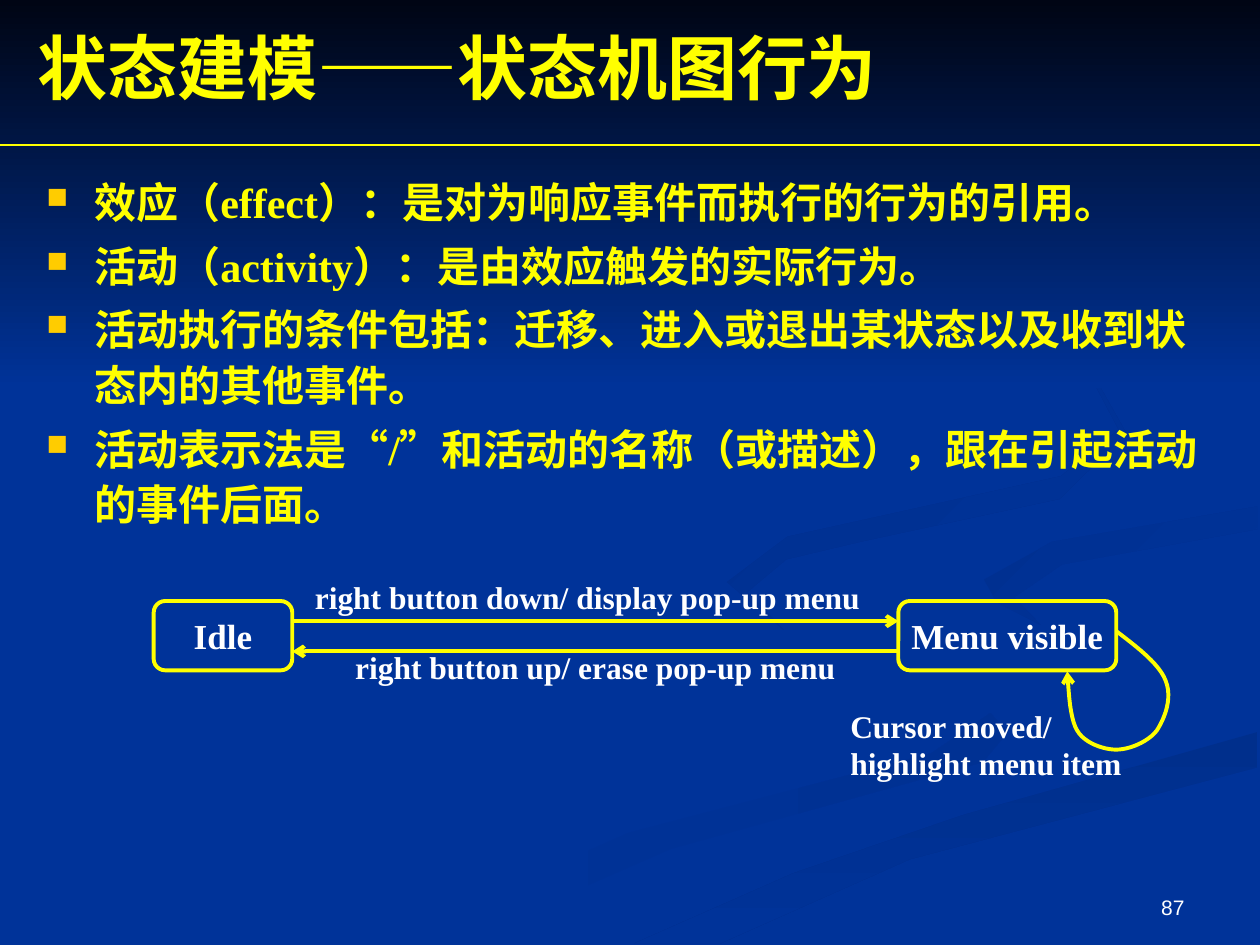
from lxml.etree import SubElement
from pptx import Presentation
from pptx.dml.color import RGBColor
from pptx.enum.shapes import MSO_CONNECTOR, MSO_SHAPE
from pptx.enum.text import MSO_ANCHOR as ANCHOR, PP_ALIGN as ALIGN
from pptx.oxml.ns import qn
from pptx.util import Inches, Pt

YELLOW, WHITE, BLUE, GOLD = "FFFF00", "FFFFFF", "003399", "FFCC00"
SERIF, SANS = "Times New Roman", "Arial"

TITLE = [("状态建模", SERIF), ("——", SANS), ("状态机图行为", SERIF)]
POINTS = [
    [("效应（effect）：是对为响应事件而执行的行为的引用。", SERIF)],
    [("活动（activity）：是由效应触发的实际行为。", SERIF)],
    [("活动执行的条件包括：迁移、进入或退出某状态以及收到状态内的其他事件。", SERIF)],
    [("活动表示法是", SERIF), ("“", SANS), ("/", SERIF), ("”", SANS),
     ("和活动的名称（或描述），跟在引起活动的事件后面。", SERIF)],
]
STATES = [("Idle", 1.22, 1.1), ("Menu visible", 7.13, 1.73)]
STATE_TOP, STATE_HEIGHT = 4.77, 0.55
IDLE_EDGE, MENU_EDGE = 2.32, 7.13
TRANSITIONS = [(IDLE_EDGE, MENU_EDGE, 4.93), (MENU_EDGE, IDLE_EDGE, 5.17)]
LABELS = [
    ("right button down/ display pop-up menu", 2.4, 4.54, 4.88, 0.4),
    ("right button up/ erase pop-up menu", 2.72, 5.09, 4.25, 0.4),
    ("Cursor moved/ highlight menu item", 6.65, 5.56, 2.6, 0.7),
]
LOOP_START = (8.86, 5.01)
LOOP_CURVES = [
    ((9.03, 5.14), (9.2, 5.27), (9.25, 5.4)),
    ((9.31, 5.54), (9.24, 5.71), (9.18, 5.8)),
    ((9.11, 5.89), (8.96, 5.95), (8.86, 5.95)),
    ((8.76, 5.95), (8.61, 5.9), (8.55, 5.8)),
    ((8.48, 5.69), (8.48, 5.4), (8.47, 5.33)),
]
RIBBONS = [
    (BLUE, "003193", 0, [
        (7.86, 5.66), (7.39, 5.98), (4.99, 6.61), (3, 7.49), (3.61, 7.49),
        (5.32, 6.74), (7.8, 6.05), (8, 5.81)]),
    ("002F8C", BLUE, 90, [
        (5.03, 7.49), (5.71, 7.49), (7.22, 6.82), (9.98, 6.09), (9.98, 5.81),
        (7.64, 6.47), (6.3, 6.93)]),
    ("003091", BLUE, 45, [
        (7.81, 4.6), (7.91, 4.78), (8.26, 4.96), (8.05, 4.74), (8.43, 4.48),
        (9.98, 4.2), (9.98, 4.02), (8.35, 4.3)]),
    ("002F8E", BLUE, 45, [
        (6.83, 4.3), (8.41, 3.96), (8.94, 3.44), (8.64, 2.91), (7.62, 2.33),
        (8.62, 2.92), (8.88, 3.41), (8.42, 3.78), (6.25, 4.26), (5.77, 4.62),
        (6.22, 5), (5.93, 4.7), (6.24, 4.44)]),
]
SKY_HEIGHT = 3.08


def color(value):
    return RGBColor.from_string(value)


def set_font(font, size, value, bold=True, name=None):
    font.size, font.bold, font.color.rgb = Pt(size), bold, color(value)
    if name:
        font.name = name


def add_runs(paragraph, parts):
    for text, font_name in parts:
        run = paragraph.add_run()
        run.text, run.font.name = text, font_name


def add_box(left, top, width, height):
    box = slide.shapes.add_textbox(*map(Inches, (left, top, width, height)))
    box.text_frame.word_wrap = True
    return box.text_frame


def add_outline(points, close):
    corners = [(Inches(x), Inches(y)) for x, y in points]
    builder = slide.shapes.build_freeform(*corners[0])
    builder.add_line_segments(corners[1:], close=close)
    outline = builder.convert_to_shape()
    outline.shadow.inherit = False
    return outline


def shade(shape, first, last, angle):
    shape.line.fill.background()
    shape.fill.gradient()
    shape.fill.gradient_angle = (360 - angle) % 360
    for stop, value in zip(shape.fill.gradient_stops, (first, last)):
        stop.color.rgb = color(value)


def style_line(line, width, arrow=False):
    line.color.rgb, line.width = color(YELLOW), Pt(width)
    if arrow:
        SubElement(line._get_or_add_ln(), qn("a:tailEnd"), type="arrow")


def add_line(start, end, y, width, arrow=False):
    line = slide.shapes.add_connector(
        MSO_CONNECTOR.STRAIGHT, *map(Inches, (start, y, end, y)))
    style_line(line.line, width, arrow)
    SubElement(line._element.spPr, qn("a:effectLst"))


def add_bullet(paragraph):
    props = paragraph._p.get_or_add_pPr()
    props.set("marL", str(Inches(0.38)))
    props.set("indent", str(-Inches(0.38)))
    SubElement(SubElement(props, qn("a:buClr")), qn("a:srgbClr"), val=GOLD)
    SubElement(props, qn("a:buSzPct"), val="70000")
    SubElement(props, qn("a:buChar"), char="■")


def curve_points(start, curves, steps=12):
    points = [start]
    for b, c, d in curves:
        a = points[-1]
        for t in (i / steps for i in range(1, steps + 1)):
            weights = ((1 - t) ** 3, 3 * t * (1 - t) ** 2, 3 * t * t * (1 - t), t ** 3)
            points.append(tuple(sum(w * p[axis] for w, p in zip(weights, (a, b, c, d)))
                                for axis in (0, 1)))
    return points


deck = Presentation()
deck.slide_width, deck.slide_height = Inches(10), Inches(7.5)
slide = deck.slides.add_slide(deck.slide_layouts[5])
slide.background.fill.solid()
slide.background.fill.fore_color.rgb = color(BLUE)

for first, last, angle, points in RIBBONS:
    shade(add_outline(points, True), first, last, angle)
sky = slide.shapes.add_shape(
    MSO_SHAPE.RECTANGLE, 0, 0, deck.slide_width, Inches(SKY_HEIGHT))
sky.shadow.inherit = False
shade(sky, "000514", BLUE, 90)

title = slide.shapes.title
slide.shapes._spTree.append(title._element)
title.left, title.top, title.width, title.height = map(Inches, (0.2, 0.14, 9, 0.77))
title.text_frame.vertical_anchor = ANCHOR.MIDDLE
heading = title.text_frame.paragraphs[0]
heading.alignment = ALIGN.LEFT
set_font(heading.font, 40, YELLOW)
add_runs(heading, TITLE)
add_line(0, 10, 1.15, 0.75)

body = add_box(0.27, 1.31, 9.37, 3.86)
for index, parts in enumerate(POINTS):
    point = body.add_paragraph() if index else body.paragraphs[0]
    point.line_spacing = 1.1
    if index:
        point.space_before = Pt(4.8)
    add_bullet(point)
    set_font(point.font, 24, YELLOW)
    add_runs(point, parts)

for text, left, width in STATES:
    state = slide.shapes.add_shape(
        MSO_SHAPE.ROUNDED_RECTANGLE, *map(Inches, (left, STATE_TOP, width, STATE_HEIGHT)))
    state.shadow.inherit = False
    state.fill.background()
    style_line(state.line, 2.25)
    state.text_frame.word_wrap = False
    state.text_frame.vertical_anchor = ANCHOR.MIDDLE
    state.text_frame.text = text
    name = state.text_frame.paragraphs[0]
    name.alignment = ALIGN.CENTER
    set_font(name.font, 20, WHITE, name=SERIF)

for start, end, y in TRANSITIONS:
    add_line(start, end, y, 2.25, arrow=True)
loop = add_outline(curve_points(LOOP_START, LOOP_CURVES), False)
loop.fill.background()
style_line(loop.line, 2.25, arrow=True)

for text, *place in LABELS:
    label = add_box(*place)
    label.text = text
    set_font(label.paragraphs[0].font, 18, WHITE, name=SERIF)

number = add_box(7.17, 6.83, 2.33, 0.52)
number.vertical_anchor = ANCHOR.BOTTOM
number.text = "87"
number.paragraphs[0].alignment = ALIGN.RIGHT
set_font(number.paragraphs[0].font, 12, WHITE, bold=False, name=SANS)

deck.save("out.pptx")
